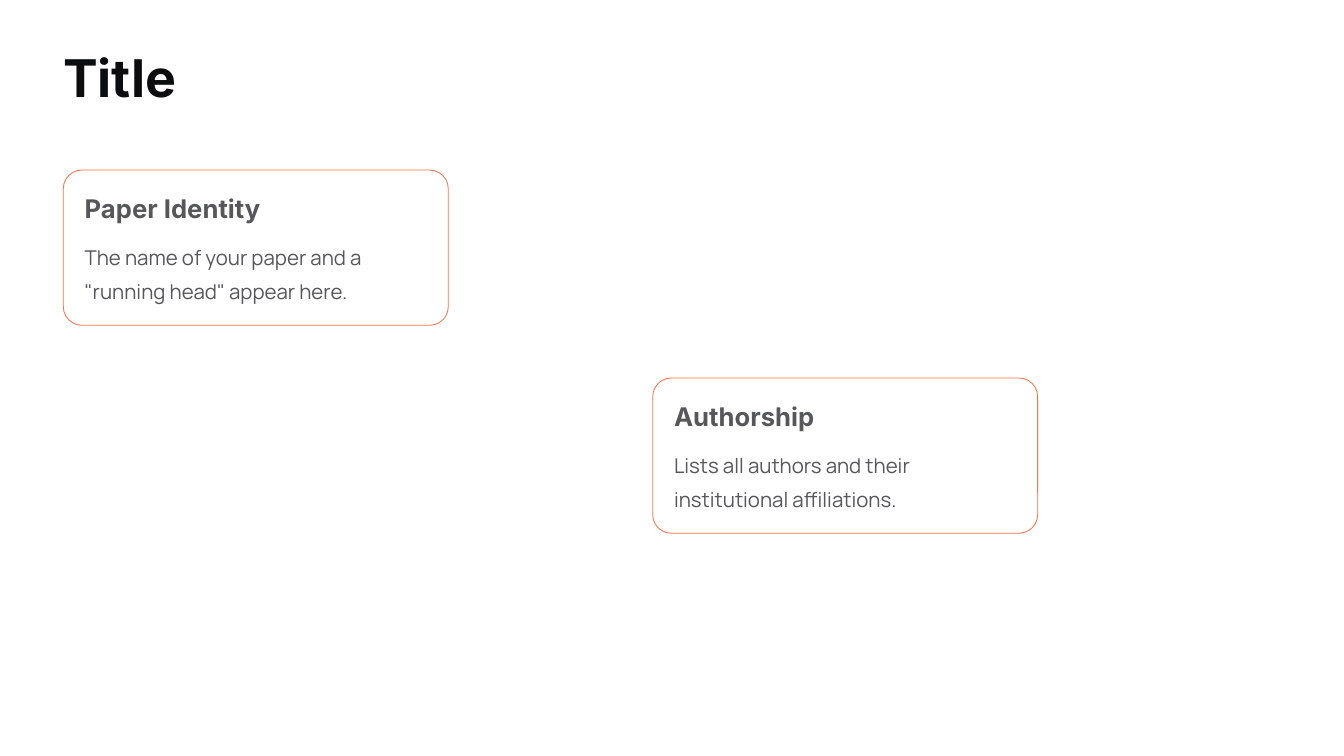
"""Build a title slide with two outlined cards about a paper's opening."""
from dataclasses import dataclass

import pptx
import pptx.dml.color
import pptx.enum.shapes
import pptx.enum.text
import pptx.shapes.autoshape
import pptx.slide
import pptx.util

Pt = pptx.util.Pt
RGBColor = pptx.dml.color.RGBColor

WHITE = RGBColor(0xFF, 0xFF, 0xFF)
INK = RGBColor(0x0C, 0x0D, 0x0F)
GREY = RGBColor(0x55, 0x57, 0x5A)
ORANGE = RGBColor(0xFF, 0x70, 0x47)

CARD_WIDTH, CARD_HEIGHT = 275, 110.9
CARD_PADDING = 15.3
BODY_OFFSET = 47.5


@dataclass(frozen=True)
class Card:
    left: float
    top: float
    heading: str
    body: str


CARDS = (
    Card(45.2, 121.5, "Paper Identity",
         'The name of your paper and a "running head" appear here.'),
    Card(466.2, 270, "Authorship",
         "Lists all authors and their institutional affiliations."),
)


def write(box: pptx.shapes.autoshape.Shape, text: str, *, size: float, leading: float,
          font: str = "Inter", color: RGBColor = GREY, bold: bool = True) -> None:
    frame = box.text_frame
    frame.text = text
    frame.word_wrap = True
    frame.auto_size = pptx.enum.text.MSO_AUTO_SIZE.NONE
    frame.vertical_anchor = pptx.enum.text.MSO_ANCHOR.TOP
    frame.margin_left = frame.margin_top = frame.margin_right = frame.margin_bottom = 0
    paragraph = frame.paragraphs[0]
    paragraph.alignment = pptx.enum.text.PP_ALIGN.LEFT
    paragraph.line_spacing = Pt(leading)
    run_font = paragraph.runs[0].font
    run_font.name = font
    run_font.size = Pt(size)
    run_font.bold = bold
    run_font.color.rgb = color


def draw_card(slide: pptx.slide.Slide, card: Card) -> None:
    outline = slide.shapes.add_shape(
        pptx.enum.shapes.MSO_SHAPE.ROUNDED_RECTANGLE,
        Pt(card.left), Pt(card.top), Pt(CARD_WIDTH), Pt(CARD_HEIGHT))
    outline.adjustments[0] = 0.12
    outline.shadow.inherit = False
    outline.fill.solid()
    outline.fill.fore_color.rgb = WHITE
    outline.line.color.rgb = ORANGE
    outline.line.width = Pt(0.6)

    text_left = Pt(card.left + CARD_PADDING)
    heading = slide.shapes.add_textbox(
        text_left, Pt(card.top + CARD_PADDING), Pt(186), Pt(23))
    write(heading, card.heading, size=18.3, leading=22.9)
    body = slide.shapes.add_textbox(
        text_left, Pt(card.top + BODY_OFFSET), Pt(244.8), Pt(47.5))
    write(body, card.body, size=14.6, leading=23.8, font="Manrope", bold=False)


def main() -> None:
    deck = pptx.Presentation()
    deck.slide_width, deck.slide_height = Pt(960), Pt(540)
    slide = deck.slides.add_slide(deck.slide_layouts.get_by_name("Title Only"))
    slide.background.fill.solid()
    slide.background.fill.fore_color.rgb = WHITE

    title = slide.shapes.title
    title.left, title.top, title.width, title.height = Pt(45.2), Pt(31), Pt(372), Pt(46.8)
    write(title, "Title", size=37.1, leading=46.2, color=INK)

    for card in CARDS:
        draw_card(slide, card)
    deck.save("out.pptx")


if __name__ == "__main__":
    main()
